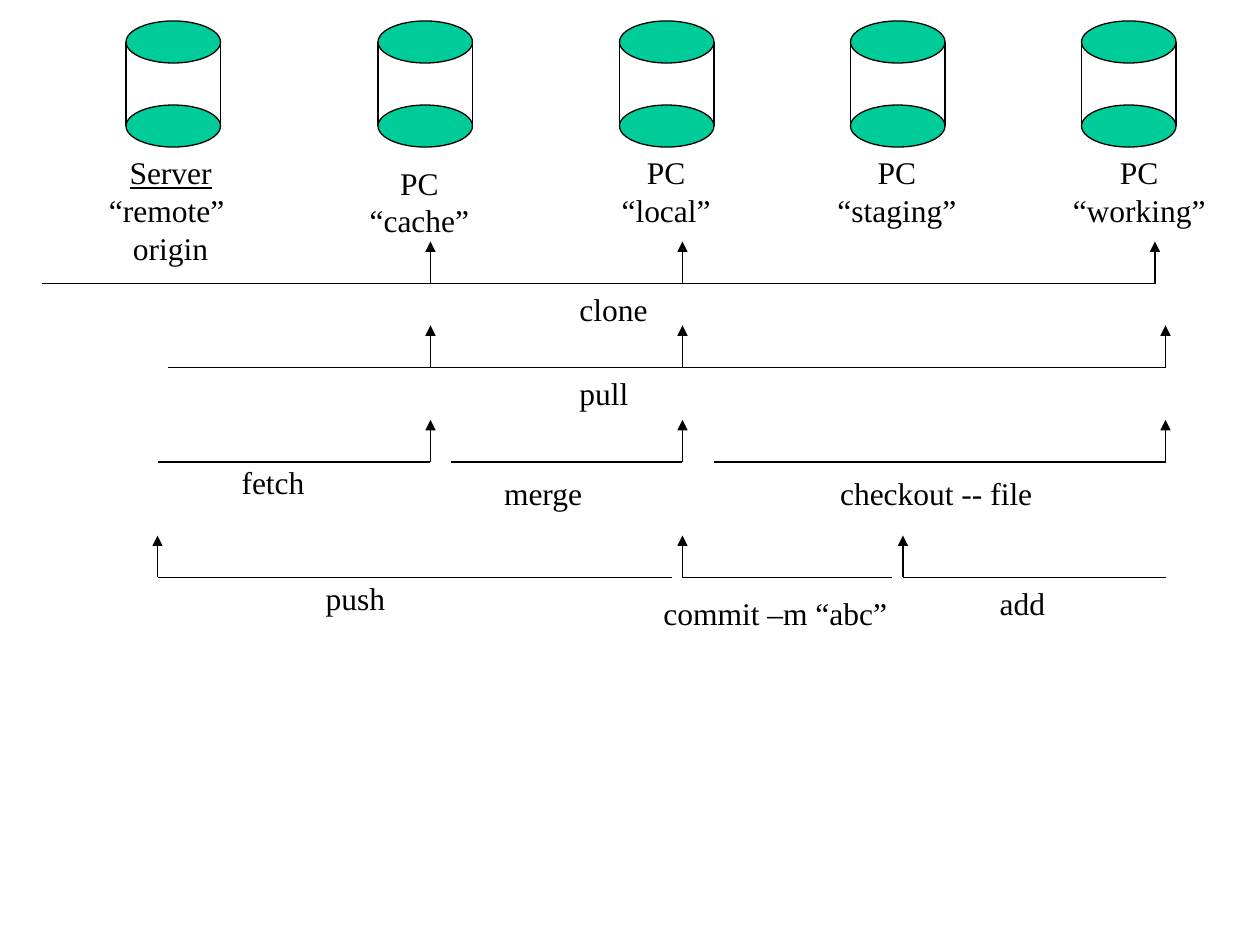
from pptx import Presentation
from pptx.dml.color import RGBColor
from pptx.enum.shapes import MSO_CONNECTOR as Link, MSO_SHAPE as Shape
from pptx.enum.text import MSO_AUTO_SIZE as Fit, PP_ALIGN as Align
from pptx.oxml.ns import qn
from pptx.util import Pt
from lxml.etree import SubElement

BLACK = RGBColor(0x00, 0x00, 0x00)
GREEN = RGBColor(0x00, 0xCC, 0x99)
FONT = "Times New Roman"
RISE = 24

STORES = [
    (72, ["Server", "“remote” ", "origin"], (54, 84, 87, 72)),
    (216, ["PC", "“cache”"], (203, 90, 73.4, 50.4)),
    (354, ["PC", "“local”"], (347, 84, 67.4, 50.4)),
    (486, ["PC", "“staging”"], (470, 84, 85, 50.4)),
    (618, ["PC", "“working”"], (604.5, 84, 93, 50.4)),
]
FLOWS = [
    ("clone", 24, 162, [246, 390, 660], (324, 162, 55)),
    ("pull", 96, 210, [246, 390, 666], (324, 210, 44)),
    ("fetch", 90, 264, [246], (131, 261, 52)),
    ("merge", 258, 264, [390], (281, 267.4, 61)),
    ("checkout -- file", 408, 264, [666], (473, 267.4, 127)),
    ("push", 384, 330, [90], (179, 327.4, 50)),
    ("commit –m “abc”", 510, 330, [390], (372, 336, 145)),
    ("add", 666, 330, [516], (564.2, 330, 42)),
]


def add_line(shapes, start, end, arrow=False):
    """Draw a thin black line, with an arrowhead at its end if asked."""
    line = shapes.add_connector(Link.STRAIGHT, *map(Pt, start + end))
    line.line.color.rgb = BLACK
    line.line.width = Pt(0.75)
    if arrow:
        SubElement(line.line._get_or_add_ln(), qn("a:tailEnd"), type="triangle")
    SubElement(line._element.spPr, qn("a:effectLst"))


def add_label(shapes, lines, box, align=Align.LEFT):
    """Write lines of text in the box."""
    label = shapes.add_textbox(*map(Pt, box))
    frame = label.text_frame
    frame.word_wrap = False
    frame.auto_size = Fit.SHAPE_TO_FIT_TEXT
    frame.text = "\n".join(lines)
    for para in frame.paragraphs:
        para.alignment = align
        font = para.runs[0].font
        font.name, font.size = FONT, Pt(18)
        font.color.rgb = BLACK
    return label


def add_drum(shapes, left, top, width, height):
    """Draw an open drum with two green ends inside the box."""
    drum = shapes.add_group_shape().shapes
    lid = height / 3
    for y in (top, top + height - lid):
        disc = drum.add_shape(Shape.OVAL, *map(Pt, (left, y, width, lid)))
        disc.shadow.inherit = False
        disc.fill.solid()
        disc.fill.fore_color.rgb = GREEN
        disc.line.color.rgb = BLACK
        disc.line.width = Pt(0.75)
    for x in (left, left + width):
        add_line(drum, (x, top + lid / 2), (x, top + height - lid / 2))


def add_flow(shapes, name, start, base, heads, spot):
    """Draw a command as a base line with rising arrows and a name."""
    flow = shapes.add_group_shape().shapes
    add_line(flow, (start, base), (heads[-1], base))
    for x in heads:
        add_line(flow, (x, base), (x, base - RISE), arrow=True)
    add_label(flow, [name], (*spot, 28.8))


def main():
    """Build the slide and save it."""
    deck = Presentation()
    deck.slide_width, deck.slide_height = Pt(720), Pt(540)
    shapes = deck.slides.add_slide(deck.slide_layouts[6]).shapes
    labels = []
    for left, lines, box in STORES:
        add_drum(shapes, left, 12, 54, 72)
        labels.append(add_label(shapes, lines, box, Align.CENTER))
    labels[0].text_frame.paragraphs[0].runs[0].font.underline = True
    for flow in FLOWS:
        add_flow(shapes, *flow)
    deck.save("out.pptx")


if __name__ == "__main__":
    main()
